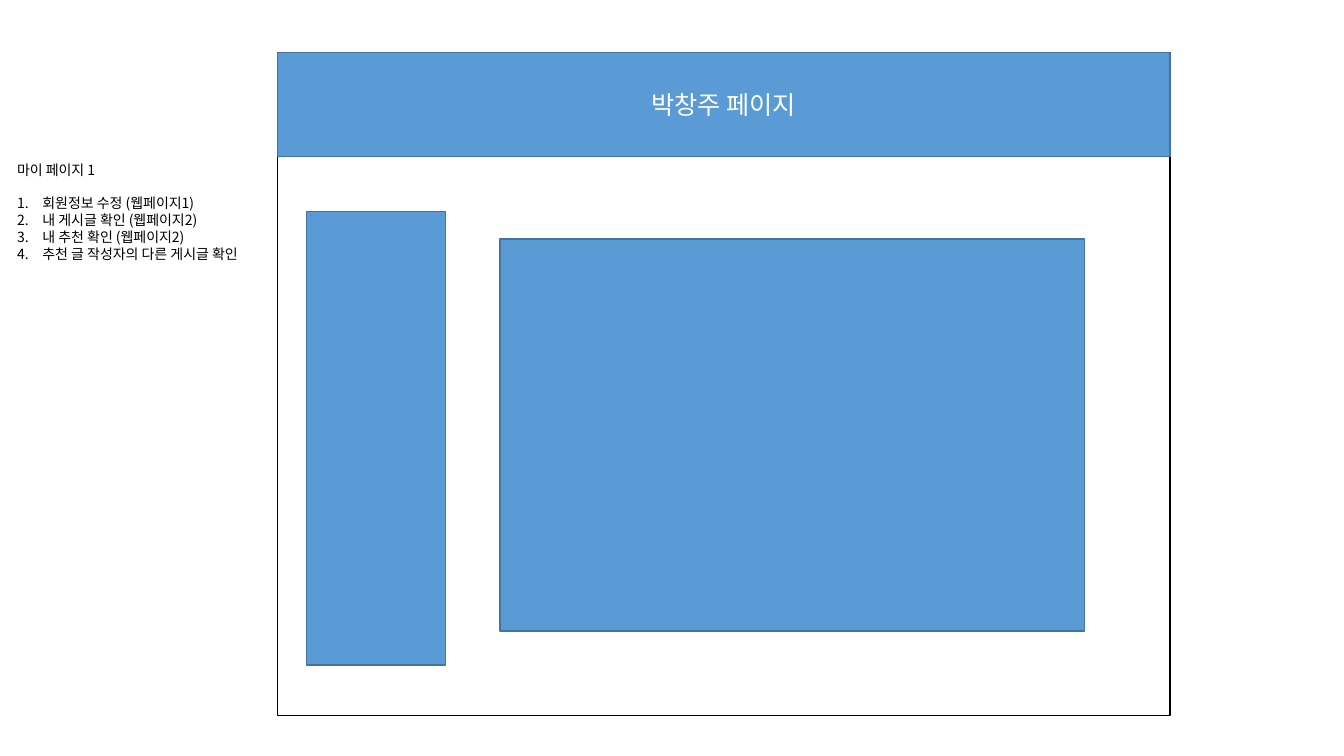
from lxml import etree
from pptx import Presentation
from pptx.dml.color import RGBColor
from pptx.enum.shapes import MSO_SHAPE
from pptx.enum.text import MSO_ANCHOR, PP_ALIGN
from pptx.oxml.ns import qn
from pptx.util import Cm, Pt

RECTANGLE = MSO_SHAPE.RECTANGLE
MIDDLE, TOP = MSO_ANCHOR.MIDDLE, MSO_ANCHOR.TOP
CENTER, LEFT = PP_ALIGN.CENTER, PP_ALIGN.LEFT

FONT = "Noto Sans CJK KR"
COLORS = {"black": "000000", "white": "FFFFFF", "blue": "5B9BD5", "edge": "43739E"}

HEADER = "박창주 페이지"
NOTE_TITLE = "마이 페이지 1"
NOTE_ITEMS = [
    "회원정보 수정 (웹페이지1)",
    "내 게시글 확인 (웹페이지2)",
    "내 추천 확인 (웹페이지2)",
    "추천 글 작성자의 다른 게시글 확인",
]

SLIDE_SIZE = (33.87, 19.05)
FRAME = (6.99, 1.32, 22.5, 16.71)
HEADER_HEIGHT = 2.62
CONTENT = (12.6, 6.02, 14.73, 9.88)
SIDEBAR = (7.72, 5.33, 3.51, 11.43)
NOTE = (0.18, 3.94, 6.32, 3.68)
INDENT = 0.64

HEADER_FORMAT = {"alignment": CENTER}
NOTE_FORMAT = {"alignment": LEFT, "line_spacing": Pt(12), "space_after": Pt(0)}
NOTE_TITLE_FORMAT = {**NOTE_FORMAT, "space_after": Pt(12)}


def color(name):
    return RGBColor.from_string(COLORS[name])


def add_panel(page, place, fill, line):
    panel = page.shapes.add_shape(RECTANGLE, *map(Cm, place))
    panel.shadow.inherit = False
    if fill:
        panel.fill.solid()
        panel.fill.fore_color.rgb = color(fill)
    else:
        panel.fill.background()
    panel.line.color.rgb = color(line)
    panel.line.width = Pt(1)
    return panel


def write(para, text, size, ink, formats):
    for name, value in formats.items():
        setattr(para, name, value)
    span = para.add_run()
    span.text = text
    for name, value in {"name": FONT, "size": Pt(size)}.items():
        setattr(span.font, name, value)
    span.font.color.rgb = color(ink)
    east_asian = etree.SubElement(span.font._element, qn("a:ea"))
    east_asian.set("typeface", FONT)


def number(para):
    properties = para._p.get_or_add_pPr()
    properties.set("marL", str(Cm(INDENT)))
    properties.set("indent", str(-Cm(INDENT)))
    bullet_font = etree.SubElement(properties, qn("a:buFont"))
    bullet_font.set("typeface", FONT)
    bullet = etree.SubElement(properties, qn("a:buAutoNum"))
    bullet.set("type", "arabicPeriod")


def add_note(page):
    box = page.shapes.add_textbox(*map(Cm, NOTE))
    frame = box.text_frame
    frame.word_wrap = True
    frame.vertical_anchor = TOP
    write(frame.paragraphs[0], NOTE_TITLE, 10, "black", NOTE_TITLE_FORMAT)
    for item in NOTE_ITEMS:
        para = frame.add_paragraph()
        write(para, item, 10, "black", NOTE_FORMAT)
        number(para)


def main():
    deck = Presentation()
    deck.slide_width, deck.slide_height = map(Cm, SLIDE_SIZE)
    page = deck.slides.add_slide(deck.slide_layouts[6])

    add_panel(page, FRAME, None, "black")
    add_note(page)
    header = add_panel(page, (*FRAME[:3], HEADER_HEIGHT), "blue", "edge")
    header.text_frame.vertical_anchor = MIDDLE
    write(header.text_frame.paragraphs[0], HEADER, 18, "white", HEADER_FORMAT)
    for place in (CONTENT, SIDEBAR):
        add_panel(page, place, "blue", "edge")

    deck.save("out.pptx")


if __name__ == "__main__":
    main()
